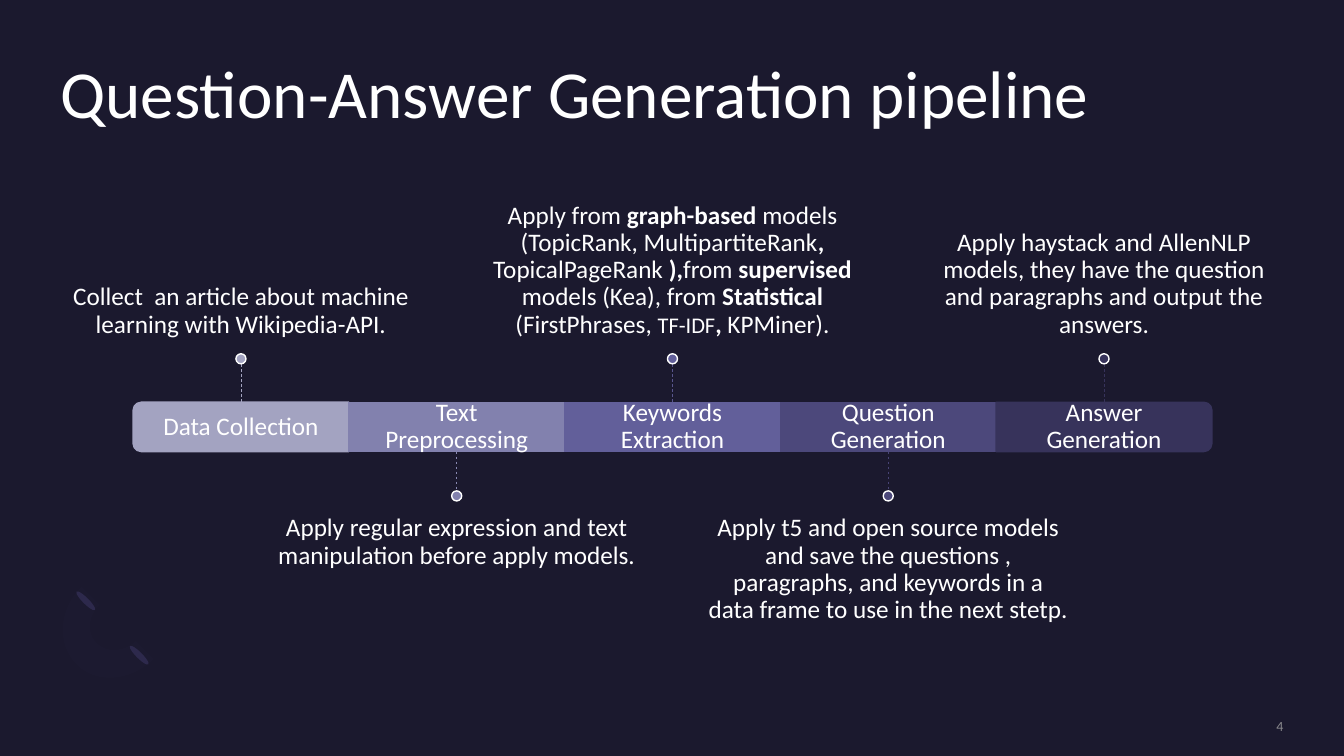
from lxml import etree
from pptx import Presentation
from pptx.dml.color import RGBColor
from pptx.enum import dml, shapes, text
from pptx.oxml.ns import qn
from pptx.util import Inches, Pt

NIGHT = RGBColor(0x1B, 0x19, 0x2E)
WHITE = RGBColor(0xFF, 0xFF, 0xFF)
GREY = RGBColor(0xA6, 0xA6, 0xA6)
PETAL = RGBColor(0x2C, 0x28, 0x4A)
LILAC = RGBColor(0x77, 0x71, 0xB2)
MIST = RGBColor(0xA3, 0xA3, 0xC1)
HAZE = RGBColor(0x82, 0x81, 0xAE)
IRIS = RGBColor(0x62, 0x5F, 0x9A)
PLUM = RGBColor(0x4C, 0x48, 0x7B)
DUSK = RGBColor(0x37, 0x33, 0x5B)
HAZE_LINE = RGBColor(0x89, 0x88, 0xB1)
IRIS_LINE = RGBColor(0x59, 0x56, 0x8E)
PLUM_LINE = RGBColor(0x48, 0x44, 0x75)

LEFT, TOP, WIDE, HIGH = 1.32, 3.99, 2.14, 0.49
STEM, DOT = 0.39, 0.1
NOTE_W, NOTE_H = 3.57, 1.7
PAD = 0.15

# label, bar colour, stem colour, caption runs (text, bold, size)
STEPS = [
    ("Data Collection", MIST, MIST,
     [("Collect  an article about machine learning with Wikipedia-API.", False, 18)]),
    ("Text Preprocessing", HAZE, HAZE_LINE,
     [("Apply regular expression and text manipulation before apply models.", False, 18)]),
    ("Keywords Extraction", IRIS, IRIS_LINE,
     [("Apply from ", False, 18), ("graph-based", True, 18),
      (" models (TopicRank, MultipartiteRank", False, 18), (", ", True, 18),
      ("TopicalPageRank", False, 18), (" ),", True, 18), ("from ", False, 18),
      ("supervised", True, 18), (" models (Kea), from", False, 18),
      (" Statistical", True, 18), (" (FirstPhrases, ", False, 18),
      ("TF-IDF", False, 16), (", ", True, 18), ("KPMiner).", False, 18)]),
    ("Question Generation", PLUM, PLUM_LINE,
     [("Apply t5 and open source models and save the questions , paragraphs, "
       "and keywords in a data frame to use in the next stetp.", False, 18)]),
    ("Answer Generation", DUSK, DUSK,
     [("Apply haystack and AllenNLP models, they have the question "
       "and paragraphs and output the answers.", False, 18)]),
]


def fade(node, share):
    """Set the opacity, in percent, of the first colour under node."""
    tint = node.find(".//" + qn("a:srgbClr"))
    etree.SubElement(tint, qn("a:alpha")).set("val", str(share * 1000))


def curve(a, b, c, d, count=12):
    """Points along a cubic curve, without its start."""
    for i in range(1, count + 1):
        t = i / count
        s = 1 - t
        yield tuple(s**3 * p + 3 * s * s * t * q + 3 * s * t * t * r + t**3 * e
                    for p, q, r, e in zip(a, b, c, d))


class Deck:
    font = "Calibri"

    def __init__(self):
        self.prs = Presentation()
        self.prs.slide_width = Inches(13.33)
        self.prs.slide_height = Inches(7.5)
        self.slide = self.prs.slides.add_slide(self.prs.slide_layouts[5])
        self.items = self.slide.shapes
        self.slide.background.fill.solid()
        self.slide.background.fill.fore_color.rgb = NIGHT

    def fill_text(self, box, runs, align, anchor, pads=(0, 0, 0, 0), color=WHITE, space=0.9):
        frame = box.text_frame
        frame.word_wrap = True
        frame.auto_size = text.MSO_AUTO_SIZE.NONE
        frame.vertical_anchor = anchor
        (frame.margin_left, frame.margin_top,
         frame.margin_right, frame.margin_bottom) = map(Inches, pads)
        para = frame.paragraphs[0]
        para.alignment = align
        para.line_spacing = space
        for words, bold, size in runs:
            run = para.add_run()
            run.text = words
            run.font.name = self.font
            run.font.size = Pt(size)
            run.font.bold = bold
            run.font.color.rgb = color
        return box

    def title(self, words):
        box = self.items.title
        box.left, box.top, box.width, box.height = map(Inches, (0.6, 0.6, 12.13, 1.46))
        self.fill_text(box, [(words, False, 48)], text.PP_ALIGN.LEFT, text.MSO_ANCHOR.TOP)

    def label(self, x, y, w, h, runs, align=text.PP_ALIGN.CENTER, **style):
        box = self.items.add_textbox(*map(Inches, (x, y, w, h)))
        return self.fill_text(box, runs, align, **style)

    def paint(self, shape, fill, line=None):
        shape.shadow.inherit = False
        shape.fill.solid()
        shape.fill.fore_color.rgb = fill
        if line is None:
            shape.line.fill.background()
        else:
            shape.line.color.rgb = line
            shape.line.width = Pt(1)
        return shape

    def shape(self, kind, x, y, w, h, fill, line=None, turn=0):
        item = self.items.add_shape(kind, *map(Inches, (x, y, w, h)))
        item.rotation = turn
        return self.paint(item, fill, line)

    def stem(self, x, y, end, color):
        line = self.items.add_connector(
            shapes.MSO_CONNECTOR.STRAIGHT, *map(Inches, (x, y, x, end)))
        line.line.color.rgb = color
        line.line.width = Pt(0.5)
        line.line.dash_style = dml.MSO_LINE.DASH
        etree.SubElement(line._element.spPr, qn("a:effectLst"))
        return line

    def arc(self):
        """Faint curved band in the lower left corner."""
        outer, inner, low, edge = (0.76, 6.59), (0.99, 6), (0.96, 6.38), (1.52, 6.54)
        points = [*curve(outer, (0.56, 6.39), (0.58, 6.05), (0.81, 5.82)), inner,
                  *curve(inner, (0.87, 6.11), (0.86, 6.29), low),
                  *curve(low, (1.06, 6.48), (1.23, 6.47), (1.35, 6.36)), edge,
                  *curve(edge, (1.3, 6.76), (0.95, 6.79), outer)]
        pen = self.items.build_freeform(Inches(outer[0]), Inches(outer[1]))
        pen.add_line_segments([(Inches(x), Inches(y)) for x, y in points])
        band = self.paint(pen.convert_to_shape(), LILAC)
        fade(band._element.spPr, 2)

    def step(self, i, name, fill, tint, note):
        """One bar of the pipeline with its label, caption, stem and dot."""
        kind = shapes.MSO_SHAPE
        x = LEFT + i * WIDE
        mid = x + WIDE / 2
        last = len(STEPS) - 1
        above = i % 2 == 0
        if i in (0, last):
            bar = None
            self.shape(kind.ROUND_2_SAME_RECTANGLE, mid - HIGH / 2,
                       TOP + HIGH / 2 - WIDE / 2, HIGH, WIDE, fill, fill,
                       270 if i == 0 else 90)
        else:
            bar = self.shape(kind.RECTANGLE, x, TOP, WIDE, HIGH, fill, fill)
        self.label(x, TOP, WIDE, HIGH, [(name, False, 18)],
                   anchor=text.MSO_ANCHOR.MIDDLE, pads=(PAD,) * 4)
        if above:
            edge, end, dot, top = TOP, TOP - STEM, 3.51, 1.81
            anchor, pads = text.MSO_ANCHOR.BOTTOM, (0, 0, 0, PAD)
        else:
            edge, end, dot, top = TOP + HIGH, TOP + HIGH + STEM, 4.87, 4.96
            anchor, pads = text.MSO_ANCHOR.TOP, (0, PAD, 0, 0)
        self.label(mid - NOTE_W / 2, top, NOTE_W, NOTE_H, note, anchor=anchor, pads=pads)
        line = self.stem(mid, edge, end, tint)
        if bar is not None:
            line.begin_connect(bar, 0 if above else 2)
        self.shape(kind.OVAL, mid - DOT / 2, dot, DOT, DOT, fill, WHITE)

    def number(self, words):
        box = self.label(10.88, 7.12, 1.85, 0.17, [(words, False, 10)],
                         text.PP_ALIGN.RIGHT, anchor=text.MSO_ANCHOR.MIDDLE,
                         color=GREY, space=1.0)
        fade(box._element.txBody, 80)


def main():
    deck = Deck()
    for x, y in ((1.35, 6.37), (0.82, 5.83)):
        deck.shape(shapes.MSO_SHAPE.OVAL, x, y, 0.06, 0.26, PETAL, turn=135)
    deck.arc()
    deck.title("Question-Answer Generation pipeline")
    for i, step in enumerate(STEPS):
        deck.step(i, *step)
    deck.number("4")
    deck.prs.save("out.pptx")


if __name__ == "__main__":
    main()
